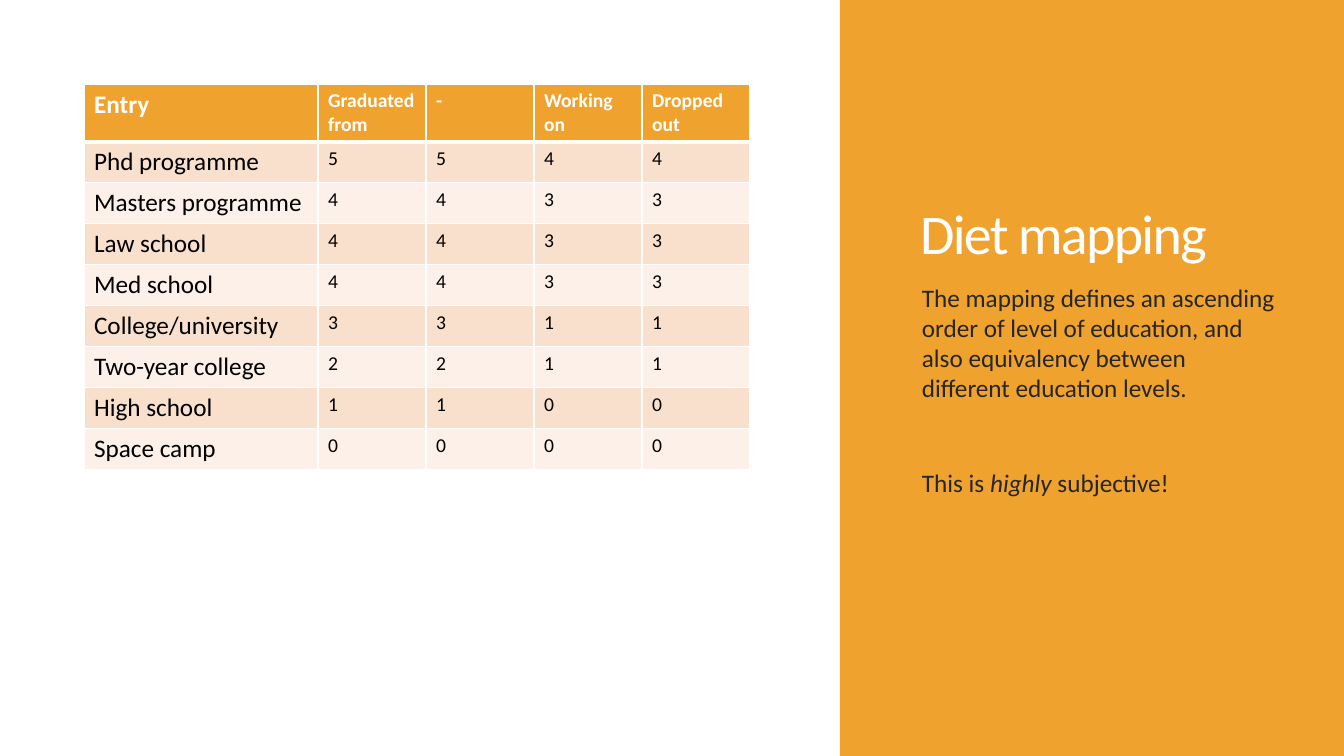
"""Build the diet mapping slide: a table of education levels beside a titled sidebar."""
from lxml import etree
from pptx import Presentation, util as u
from pptx.dml.color import RGBColor
from pptx.enum import shapes, text
from pptx.oxml.ns import qn

TITLE = "Diet mapping"
HEADINGS = ("Entry", "Graduated from", "-", "Working on", "Dropped out")
LEVELS = [
    ("Phd programme", 5, 5, 4, 4),
    ("Masters programme", 4, 4, 3, 3),
    ("Law school", 4, 4, 3, 3),
    ("Med school", 4, 4, 3, 3),
    ("College/university", 3, 3, 1, 1),
    ("Two-year college", 2, 2, 1, 1),
    ("High school", 1, 1, 0, 0),
    ("Space camp", 0, 0, 0, 0),
]
REMARKS = [
    (12, [("The mapping defines an ascending order of level of education, "
           "and also equivalency between different education levels.", False)]),
    (46, [("This is ", False), ("highly", True), (" subjective!", False)]),
]
THEME = {
    "font": "Calibri", "accent": "F0A22E", "bands": ("F9E0CD", "FCF0E8"),
    "white": "FFFFFF", "black": "000000", "remark": "262626",
    "title_size": 40, "entry_size": 18, "score_size": 14,
    "tracking": -120, "rule": 1, "header_rule": 3,
}
PIXEL = u.Inches(1) / 100.8
SLIDE = (1344, 756)
SIDEBAR = (840, 0, 504, 756)
TITLE_BOX = (910, 59, 373, 212)
REMARK_BOX = (912, 277, 375, 345)
GRID_ORIGIN = (84, 84)
COLUMNS = (234, 108, 108, 108, 108)
ROWS = (56,) + (41,) * len(LEVELS)


def px(length):
    return round(length * PIXEL)


def assign(target, values):
    for name, value in values.items():
        setattr(target, name, value)


def place(shape, box):
    assign(shape, dict(zip(("left", "top", "width", "height"), map(px, box))))


def paint(fill, color):
    fill.solid()
    fill.fore_color.rgb = RGBColor.from_string(color)


def write(paragraph, words, size, color, bold=False, italic=False):
    run = paragraph.add_run()
    run.text = str(words)
    assign(run.font, {"name": THEME["font"], "size": u.Pt(size), "bold": bold, "italic": italic})
    run.font.color.rgb = RGBColor.from_string(color)
    return run


def rule_cell(cell, top, bottom):
    properties = cell._tc.get_or_add_tcPr()
    widths = {"lnL": THEME["rule"], "lnR": THEME["rule"], "lnT": top, "lnB": bottom}
    for index, (side, width) in enumerate(widths.items()):
        line = etree.Element(qn(f"a:{side}"), w=str(u.Pt(width)))
        solid = etree.SubElement(line, qn("a:solidFill"))
        etree.SubElement(solid, qn("a:srgbClr"), val=THEME["white"])
        properties.insert(index, line)


def add_sidebar(slide):
    sidebar = slide.shapes.add_shape(shapes.MSO_SHAPE.RECTANGLE, *map(px, SIDEBAR))
    paint(sidebar.fill, THEME["accent"])
    sidebar.line.fill.background()
    sidebar.shadow.inherit = False
    slide.shapes._spTree.insert(2, sidebar._element)


def add_title(slide):
    title = slide.shapes.title
    place(title, TITLE_BOX)
    assign(title.text_frame, {"word_wrap": True, "auto_size": text.MSO_AUTO_SIZE.NONE,
                              "vertical_anchor": text.MSO_ANCHOR.BOTTOM})
    heading = title.text_frame.paragraphs[0]
    assign(heading, {"alignment": text.PP_ALIGN.LEFT, "line_spacing": 0.85})
    run = write(heading, TITLE, THEME["title_size"], THEME["white"])
    run._r.get_or_add_rPr().set("spc", str(THEME["tracking"]))


def add_levels(slide):
    box = (*GRID_ORIGIN, sum(COLUMNS), sum(ROWS))
    levels = slide.shapes.add_table(len(ROWS), len(COLUMNS), *map(px, box)).table
    levels.horz_banding = False
    for column, width in zip(levels.columns, COLUMNS):
        column.width = px(width)
    for r, entries in enumerate([HEADINGS, *LEVELS]):
        header = r == 0
        levels.rows[r].height = px(ROWS[r])
        fill = THEME["accent"] if header else THEME["bands"][(r - 1) % 2]
        color = THEME["white"] if header else THEME["black"]
        top = THEME["header_rule" if r == 1 else "rule"]
        bottom = THEME["header_rule" if header else "rule"]
        for c, words in enumerate(entries):
            cell = levels.cell(r, c)
            paint(cell.fill, fill)
            rule_cell(cell, top, bottom)
            size = THEME["score_size" if c else "entry_size"]
            write(cell.text_frame.paragraphs[0], words, size, color, bold=header)


def add_remarks(slide):
    frame = slide.shapes.add_textbox(*map(px, REMARK_BOX)).text_frame
    frame.word_wrap = True
    for index, (gap, runs) in enumerate(REMARKS):
        paragraph = frame.add_paragraph() if index else frame.paragraphs[0]
        paragraph.space_before = u.Pt(gap)
        for words, italic in runs:
            write(paragraph, words, THEME["entry_size"], THEME["remark"], italic=italic)


deck = Presentation()
assign(deck, dict(zip(("slide_width", "slide_height"), map(px, SLIDE))))
mapping = deck.slides.add_slide(deck.slide_layouts[5])
for add_part in (add_sidebar, add_title, add_levels, add_remarks):
    add_part(mapping)
deck.save("out.pptx")
